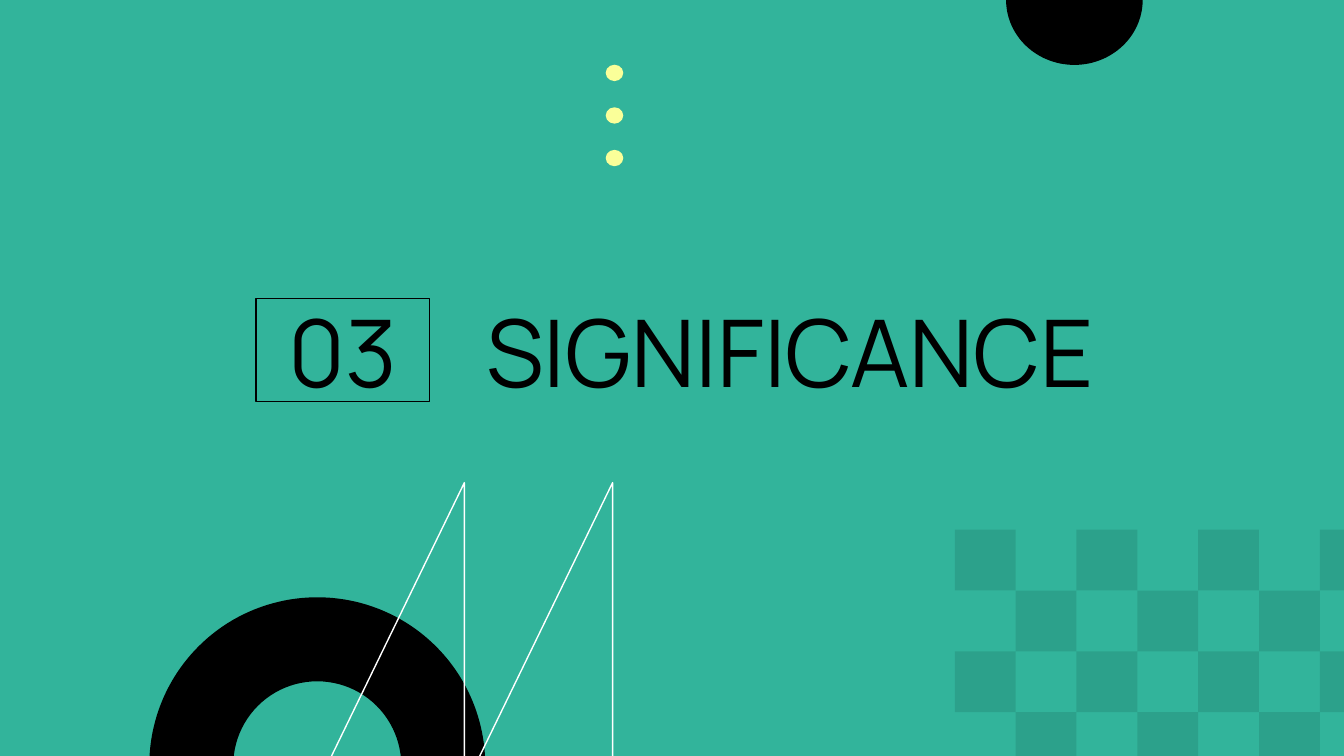
"""Build the section slide "03 Significance" with its geometric decorations."""
from dataclasses import dataclass
from math import cos, pi, sin

from lxml.etree import SubElement
from pptx import Presentation
from pptx.dml.color import RGBColor
from pptx.enum.shapes import MSO_SHAPE as Preset
from pptx.enum.text import MSO_ANCHOR as Anchor, PP_ALIGN as Align
from pptx.oxml.ns import qn
from pptx.shapes.autoshape import Shape
from pptx.slide import Slide
from pptx.util import Pt

BLACK, WHITE, GREEN, YELLOW = "000000", "FFFFFF", "32B49B", "FAFF99"
FONT = "Manrope"


@dataclass(frozen=True)
class Box:
    left: float
    top: float
    width: float
    height: float


def color(value: str) -> RGBColor:
    return RGBColor.from_string(value)


def paint(shape: Shape, fill: str | None = None, line: str | None = None,
          opacity: int = 100) -> None:
    shape.shadow.inherit = False
    if fill:
        shape.fill.solid()
        shape.fill.fore_color.rgb = color(fill)
        if opacity < 100:
            tint = shape.fill._xPr.find(qn("a:solidFill"))[0]
            SubElement(tint, qn("a:alpha"), val=str(opacity * 1000))
    else:
        shape.fill.background()
    if line:
        shape.line.color.rgb = color(line)
        shape.line.width = Pt(0.75)
    else:
        shape.line.fill.background()


def add_preset(slide: Slide, preset: Preset, box: Box, fill: str | None = None,
               line: str | None = None, opacity: int = 100) -> Shape:
    shape = slide.shapes.add_shape(
        preset, Pt(box.left), Pt(box.top), Pt(box.width), Pt(box.height))
    paint(shape, fill, line, opacity)
    return shape


def add_half_disc(slide: Slide, center: float, radius: float, depth: float) -> None:
    steps = 60
    points = [(Pt(center + radius * cos(pi * i / steps)), Pt(depth * sin(pi * i / steps)))
              for i in range(steps + 1)]
    builder = slide.shapes.build_freeform(*points[0])
    builder.add_line_segments(points[1:], close=True)
    paint(builder.convert_to_shape(), BLACK)


def write(shape: Shape, text: str, anchor: Anchor, align: Align) -> None:
    frame = shape.text_frame
    frame.word_wrap = True
    frame.vertical_anchor = anchor
    frame.margin_left = frame.margin_right = Pt(7.2)
    frame.margin_top = frame.margin_bottom = Pt(7.2)
    paragraph = frame.paragraphs[0]
    paragraph.alignment = align
    run = paragraph.add_run()
    run.text = text
    run.font.name = FONT
    run.font.size = Pt(50)
    run.font.color.rgb = color(BLACK)


def add_checkerboard(slide: Slide, left: float, top: float, cell: float) -> None:
    for row in range(4):
        for column in range(row % 2, 7, 2):
            square = Box(left + column * cell, top + row * cell, cell, cell)
            add_preset(slide, Preset.RECTANGLE, square, BLACK, opacity=10)


def main() -> None:
    deck = Presentation()
    deck.slide_width, deck.slide_height = Pt(720), Pt(405)
    slide = deck.slides.add_slide(deck.slide_layouts[6])
    slide.background.fill.solid()
    slide.background.fill.fore_color.rgb = color(GREEN)

    add_half_disc(slide, 575.6, 36.6, 34.8)

    title = slide.shapes.add_textbox(Pt(253.5), Pt(106.6), Pt(447), Pt(118))
    write(title, "SIGNIFICANCE", Anchor.BOTTOM, Align.LEFT)
    number = add_preset(slide, Preset.RECTANGLE, Box(137.1, 159.8, 93, 55.3), line=BLACK)
    write(number, "03", Anchor.MIDDLE, Align.CENTER)

    add_checkerboard(slide, 511.5, 283.8, 32.6)
    for i in range(3):
        add_preset(slide, Preset.OVAL, Box(324.5, 34.7 + 22.8 * i, 9.4, 8.8), YELLOW)

    ring = add_preset(slide, Preset.BLOCK_ARC, Box(80, 320, 180, 180), BLACK)
    ring.adjustments[0], ring.adjustments[1], ring.adjustments[2] = 108, 0, 0.25

    for left in (248.8, 169.4):
        triangle = add_preset(slide, Preset.RIGHT_TRIANGLE, Box(left, 258.6, 79.4, 163.4),
                              line=WHITE)
        triangle._element.spPr.xfrm.set("flipH", "1")

    deck.save("out.pptx")


if __name__ == "__main__":
    main()
